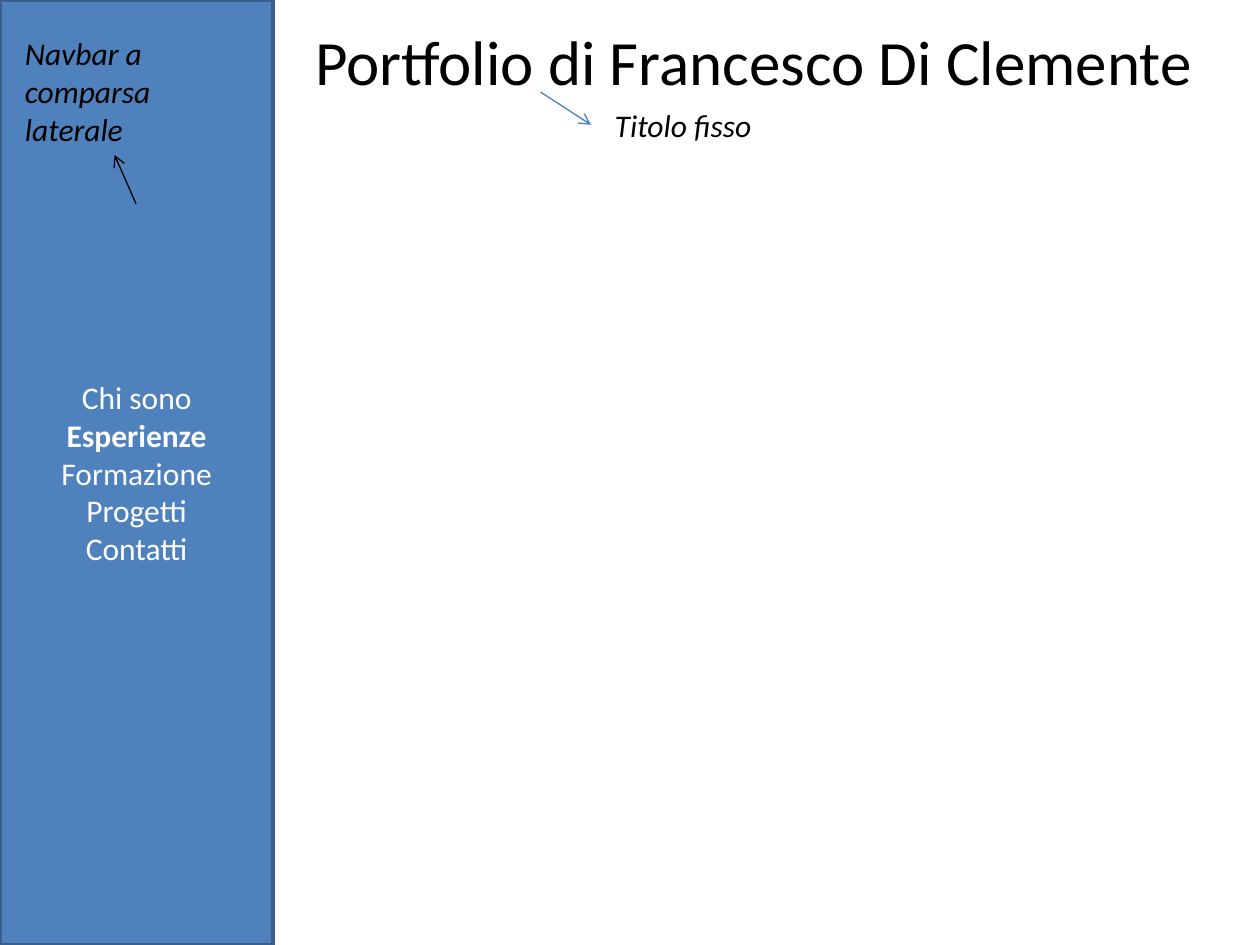
from lxml import etree
from pptx import Presentation
from pptx import util as u
from pptx.dml.color import RGBColor
from pptx.enum import shapes, text
from pptx.oxml import ns

Pt = u.Pt
FONT = "Calibri"
MENU = ["Chi sono", "Esperienze", "Formazione", "Progetti", "Contatti"]
CURRENT = "Esperienze"


def colour(value):
    """Turn a hex string into a colour."""
    return RGBColor.from_string(value)


def write(shape, lines, ink="000000", align=text.PP_ALIGN.LEFT,
          anchor=text.MSO_ANCHOR.TOP, bold_line=None, **font):
    """Fill a shape with one formatted paragraph per line."""
    frame = shape.text_frame
    layout = {"word_wrap": True, "auto_size": text.MSO_AUTO_SIZE.NONE,
              "vertical_anchor": anchor}
    for name, value in layout.items():
        setattr(frame, name, value)
    for index, line in enumerate(lines):
        para = frame.add_paragraph() if index else frame.paragraphs[0]
        para.alignment = align
        span = para.add_run()
        span.text = line
        looks = {"name": FONT, "size": Pt(18), "bold": line == bold_line, **font}
        for name, value in looks.items():
            setattr(span.font, name, value)
        span.font.color.rgb = colour(ink)


def add_note(page, box, words):
    """Place an italic note in a box."""
    note = page.shapes.add_textbox(*map(Pt, box))
    write(note, [words], italic=True)


def add_arrow(page, start, end, ink):
    """Draw a thin arrow from start to end."""
    arrow = page.shapes.add_connector(
        shapes.MSO_CONNECTOR.STRAIGHT, *map(Pt, (*start, *end)))
    arrow.line.width = Pt(0.75)
    arrow.line.color.rgb = colour(ink)
    outline = arrow.line._get_or_add_ln()
    etree.SubElement(outline, ns.qn("a:tailEnd"), type="arrow")
    etree.SubElement(arrow._element.spPr, ns.qn("a:effectLst"))


def add_navbar(page, box):
    """Build the side menu with its note and arrow."""
    left, top, width, height = box
    bar = page.shapes.add_shape(shapes.MSO_SHAPE.RECTANGLE, *map(Pt, box))
    bar.shadow.inherit = False
    bar.fill.solid()
    bar.fill.fore_color.rgb = colour("4F81BD")
    bar.line.color.rgb = colour("3A5F8C")
    bar.line.width = Pt(2)
    write(bar, MENU, "FFFFFF", text.PP_ALIGN.CENTER, text.MSO_ANCHOR.MIDDLE, CURRENT)
    add_note(page, (left + 7.2, top + 15.9, width - 14.4, 72.7),
             "Navbar a comparsa laterale")
    add_arrow(page, (left + 77.8, top + 116.6), (left + 65.5, top + 88.6), "000000")


def add_header(page, box):
    """Build the page title with its note and arrow."""
    left, top, width, height = box
    title = page.shapes.title
    for name, value in zip(("left", "top", "width", "height"), box):
        setattr(title, name, Pt(value))
    write(title, ["Portfolio di Francesco Di Clemente"], size=Pt(36))
    add_note(page, (left + 171.4, top + 47.5, 374.4, 29.1), "Titolo fisso")
    add_arrow(page, (left + 136.1, top + 43.2), (left + 164.9, top + 61.9), "4B7EBC")


def main():
    """Build and save the deck."""
    deck = Presentation()
    deck.slide_width, deck.slide_height = Pt(720), Pt(540)
    page = deck.slides.add_slide(deck.slide_layouts[5])
    add_navbar(page, (0, 0, 156.2, 540))
    add_header(page, (172.8, 9.4, 532.8, 50.9))
    deck.save("out.pptx")


if __name__ == "__main__":
    main()
